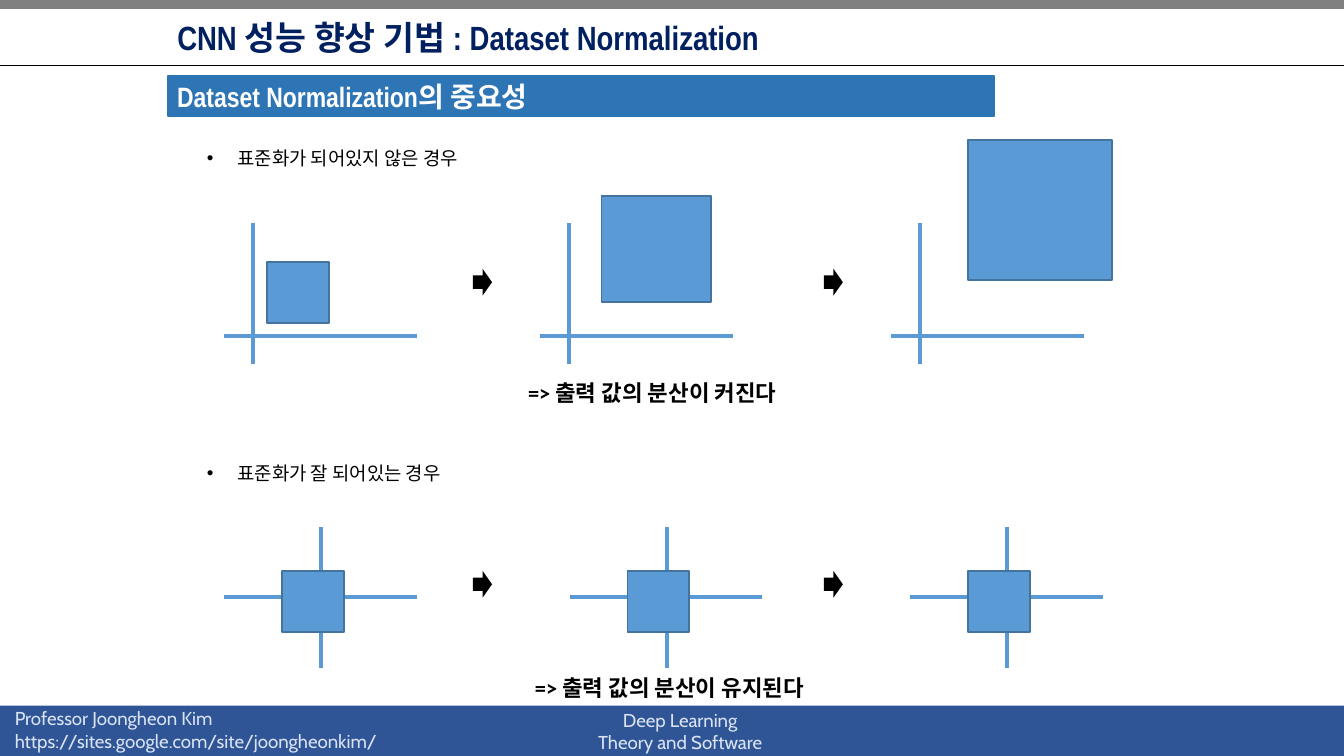
from pptx import Presentation
from pptx.dml.color import RGBColor
from pptx.enum.shapes import MSO_CONNECTOR, MSO_SHAPE
from pptx.enum.text import MSO_ANCHOR, PP_ALIGN
from pptx.oxml.ns import qn
from pptx.util import Cm, Pt
from lxml.etree import SubElement

NAVY = RGBColor(0x00, 0x20, 0x60)
BANNER = RGBColor(0x2E, 0x75, 0xB6)
FOOTER = RGBColor(0x2F, 0x55, 0x97)
PALE = RGBColor(0xDA, 0xE3, 0xF3)
BLUE = RGBColor(0x5B, 0x9B, 0xD5)
EDGE = RGBColor(0x43, 0x73, 0x9E)
GRAY = RGBColor(0x80, 0x80, 0x80)
BLACK = RGBColor(0, 0, 0)
WHITE = RGBColor(0xFF, 0xFF, 0xFF)

SLIDE_W, SLIDE_H = 25.4, 14.29
AXIS_W, AXIS_H = 3.64, 2.66
UNIT_W, UNIT_H = 1.17, 1.15
ARROW_XS = (8.94, 15.57)


def add_block(s, kind, box, fill, edge=None):
    sp = s.shapes.add_shape(kind, *map(Cm, box))
    sp.shadow.inherit = False
    sp.fill.solid()
    sp.fill.fore_color.rgb = fill
    if edge is None:
        sp.line.fill.background()
    else:
        sp.line.color.rgb = edge
        sp.line.width = Pt(1)
    return sp


def add_line(s, x1, y1, x2, y2, color, width):
    line = s.shapes.add_connector(MSO_CONNECTOR.STRAIGHT, *map(Cm, (x1, y1, x2, y2)))
    line.line.color.rgb = color
    line.line.width = Pt(width)
    SubElement(line._element.spPr, qn("a:effectLst"))


def add_run(p, text, font, size, color, bold=False):
    r = p.add_run()
    r.text = text
    r.font.name = font
    r.font.size = Pt(size)
    r.font.bold = bold
    r.font.color.rgb = color


def add_text(s, box):
    tf = s.shapes.add_textbox(*map(Cm, box)).text_frame
    tf.word_wrap = False
    return tf


def add_heading(sp, text, size, color):
    """Left-aligned bold heading with tight margins."""
    tf = sp.text_frame
    tf.word_wrap = True
    tf.vertical_anchor = MSO_ANCHOR.MIDDLE
    tf.margin_left = tf.margin_right = Cm(0.18)
    tf.margin_top = tf.margin_bottom = Cm(0.08)
    p = tf.paragraphs[0]
    p.alignment = PP_ALIGN.LEFT
    add_run(p, text, "Arial Narrow", size, color, True)


def add_header(s, x, y, w):
    # Top strip and rule
    add_block(s, MSO_SHAPE.RECTANGLE, (0, 0, SLIDE_W, 0.15), GRAY, GRAY)
    add_line(s, 0, 1.24, SLIDE_W, 1.24, BLACK, 0.5)
    # Title and banner
    title = s.shapes.title
    title.left, title.top, title.width, title.height = map(Cm, (x, y, 14.88, 1.24))
    add_heading(title, "CNN 성능 향상 기법 : Dataset Normalization", 18, NAVY)
    banner = add_block(s, MSO_SHAPE.RECTANGLE, (x, y + 1.36, w, 0.76), BANNER, BANNER)
    add_heading(banner, "Dataset Normalization의 중요성", 15, WHITE)


def add_footer(s, x, y, w, h):
    add_block(s, MSO_SHAPE.RECTANGLE, (x, y, w, h), FOOTER)
    tf = add_text(s, (x + 0.03, y - 0.1, 7.52, 1.12))
    add_run(tf.paragraphs[0], "Professor Joongheon Kim", "Cabin", 10, PALE)
    add_run(tf.add_paragraph(), "https://sites.google.com/site/joongheonkim/",
            "Cabin", 10, PALE)
    p = add_text(s, (x + 10.95, y - 0.07, 3.81, 1.12)).paragraphs[0]
    p.alignment = PP_ALIGN.CENTER
    add_run(p, "Deep Learning", "Cabin", 10, PALE)
    p.add_line_break()
    add_run(p, "Theory and Software", "Cabin", 10, PALE)


def add_bullet(s, box, text):
    p = add_text(s, box).paragraphs[0]
    pPr = p._p.get_or_add_pPr()
    pPr.set("marL", str(Cm(0.58)))
    pPr.set("indent", str(-Cm(0.58)))
    SubElement(pPr, qn("a:buFont")).set("typeface", "Arial")
    SubElement(pPr, qn("a:buChar")).set("char", "•")
    add_run(p, text, "Calibri", 10.1, BLACK)


def add_plot(s, x, y, origin, square):
    """Axes crossing at origin, with a data square; both relative to (x, y)."""
    ox, oy = origin
    dx, dy, w, h = square
    add_line(s, x + ox, y, x + ox, y + AXIS_H, BLUE, 2.25)
    add_line(s, x, y + oy, x + AXIS_W, y + oy, BLUE, 2.25)
    add_block(s, MSO_SHAPE.RECTANGLE, (x + dx, y + dy, w, h), BLUE, EDGE)


def add_case(s, y, label, plots, plot_dy, origin, arrow_dy, caption, caption_box):
    """One case: bullet, three plots joined by arrows, and its conclusion."""
    add_bullet(s, (3.66, y, 5.69, 0.69), label)
    for x, square in plots:
        add_plot(s, x, y + plot_dy, origin, square)
    for x in ARROW_XS:
        add_block(s, MSO_SHAPE.RIGHT_ARROW, (x, y + arrow_dy, 0.36, 0.51), BLACK)
    dx, dy, w = caption_box
    p = add_text(s, (dx, y + dy, w, 0.76)).paragraphs[0]
    add_run(p, caption, "Calibri", 12, BLACK, True)


def main():
    prs = Presentation()
    prs.slide_width, prs.slide_height = Cm(SLIDE_W), Cm(SLIDE_H)
    s = prs.slides.add_slide(prs.slide_layouts[5])

    add_footer(s, 0, 13.34, SLIDE_W, 0.95)
    add_header(s, 3.17, 0.08, 15.62)

    # Without normalization the square grows and drifts
    growing = [(4.24, (0.81, 0.73, UNIT_W, UNIT_H)),
               (10.21, (1.16, -0.52, 2.07, 2.01)),
               (16.84, (1.45, -1.58, 2.73, 2.65))]
    add_case(s, 2.64, "표준화가 되어있지 않은 경우", growing, 1.58, (0.54, 2.13), 2.44,
             "=> 출력 값의 분산이 커진다", (9.73, 4.4, 5.61))

    # With normalization it stays the same around the origin
    steady = [(x, (1.09, 0.84, UNIT_W, UNIT_H)) for x in (4.24, 10.77, 17.2)]
    add_case(s, 8.61, "표준화가 잘 되어있는 경우", steady, 1.35, (1.83, 1.32), 2.18,
             "=> 출력 값의 분산이 유지된다", (9.86, 4.01, 6.05))

    prs.save("out.pptx")


if __name__ == "__main__":
    main()
